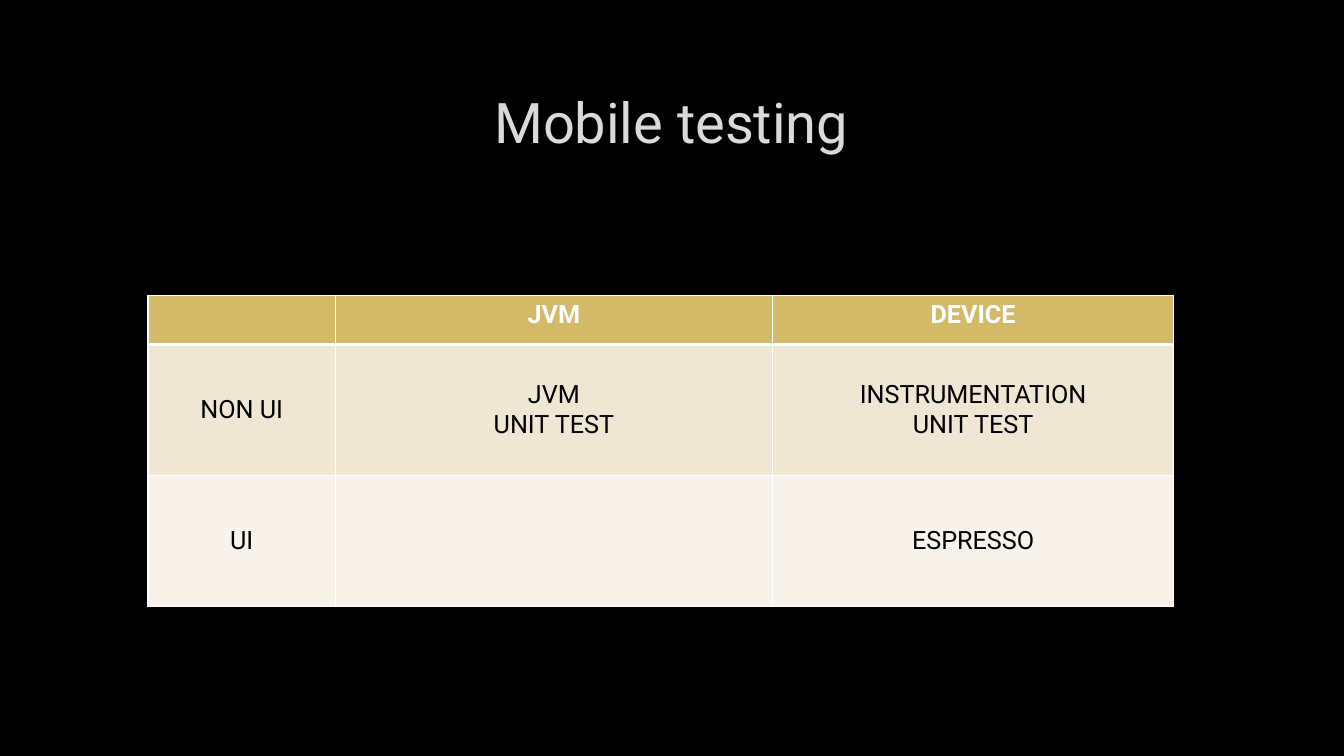
from lxml import etree
from pptx import Presentation
from pptx import util as u
from pptx.dml.color import RGBColor
from pptx.enum import text
from pptx.oxml.ns import qn

BLACK = RGBColor(0x00, 0x00, 0x00)
WHITE = RGBColor(0xFF, 0xFF, 0xFF)
SILVER = RGBColor(0xDA, 0xDA, 0xDA)
GOLD = RGBColor(0xD3, 0xBA, 0x68)
SAND = RGBColor(0xEF, 0xE7, 0xD4)
CREAM = RGBColor(0xF7, 0xF3, 0xEB)
FONT = "Roboto"

COLUMN_WIDTHS = (4.72, 11.02, 10.11)
ROW_HEIGHTS = (1.24, 3.3, 3.3)
ROW_FILLS = (GOLD, SAND, CREAM)
TEST_KINDS = (
    ((), ("JVM",), ("DEVICE",)),
    (("NON UI",), ("JVM", "UNIT TEST"), ("INSTRUMENTATION", "UNIT TEST")),
    (("UI",), (), ("ESPRESSO",)),
)


def write_line(paragraph, words, size, color, bold=False):
    paragraph.alignment = text.PP_ALIGN.CENTER
    run = paragraph.add_run()
    run.text = words
    run.font.name = FONT
    run.font.size = u.Pt(size)
    run.font.bold = bold
    run.font.color.rgb = color


def border_cell(cell, top, bottom):
    properties = cell._tc.get_or_add_tcPr()
    for side, points in (("L", 1), ("R", 1), ("T", top), ("B", bottom)):
        edge = etree.SubElement(properties, qn(f"a:ln{side}"), w=str(u.Pt(points)))
        fill = etree.SubElement(edge, qn("a:solidFill"))
        etree.SubElement(fill, qn("a:srgbClr"), val=str(WHITE))


def place_heading(slide, left, top, width, height):
    heading = slide.shapes.title
    heading.left, heading.top = u.Cm(left), u.Cm(top)
    heading.width, heading.height = u.Cm(width), u.Cm(height)
    heading.text_frame.vertical_anchor = text.MSO_ANCHOR.MIDDLE
    write_line(heading.text_frame.paragraphs[0], "Mobile testing", 40, SILVER)


def fill_cell(cell, lines, row):
    is_header = row == 0
    border_cell(cell, 3 if row == 1 else 1, 3 if is_header else 1)
    cell.fill.solid()
    cell.fill.fore_color.rgb = ROW_FILLS[row]
    cell.vertical_anchor = text.MSO_ANCHOR.TOP if is_header else text.MSO_ANCHOR.MIDDLE
    frame = cell.text_frame
    for index, words in enumerate(lines):
        paragraph = frame.add_paragraph() if index else frame.paragraphs[0]
        write_line(paragraph, words, 18, WHITE if is_header else BLACK, is_header)


def place_test_matrix(slide, left, top, width, height):
    matrix = slide.shapes.add_table(
        len(ROW_HEIGHTS), len(COLUMN_WIDTHS),
        u.Cm(left), u.Cm(top), u.Cm(width), u.Cm(height),
    ).table
    for column, share in zip(matrix.columns, COLUMN_WIDTHS):
        column.width = u.Cm(width * share / sum(COLUMN_WIDTHS))
    for row, share in zip(matrix.rows, ROW_HEIGHTS):
        row.height = u.Cm(height * share / sum(ROW_HEIGHTS))
    for row, kinds in enumerate(TEST_KINDS):
        for column, lines in enumerate(kinds):
            fill_cell(matrix.cell(row, column), lines, row)


def main():
    deck = Presentation()
    deck.slide_width, deck.slide_height = u.Cm(33.87), u.Cm(19.05)
    slide = deck.slides.add_slide(deck.slide_layouts[5])
    slide.background.fill.solid()
    slide.background.fill.fore_color.rgb = BLACK
    place_heading(slide, 2.54, 1.7, 28.75, 2.69)
    place_test_matrix(slide, 3.73, 7.44, 25.85, 7.84)
    deck.save("out.pptx")


if __name__ == "__main__":
    main()
